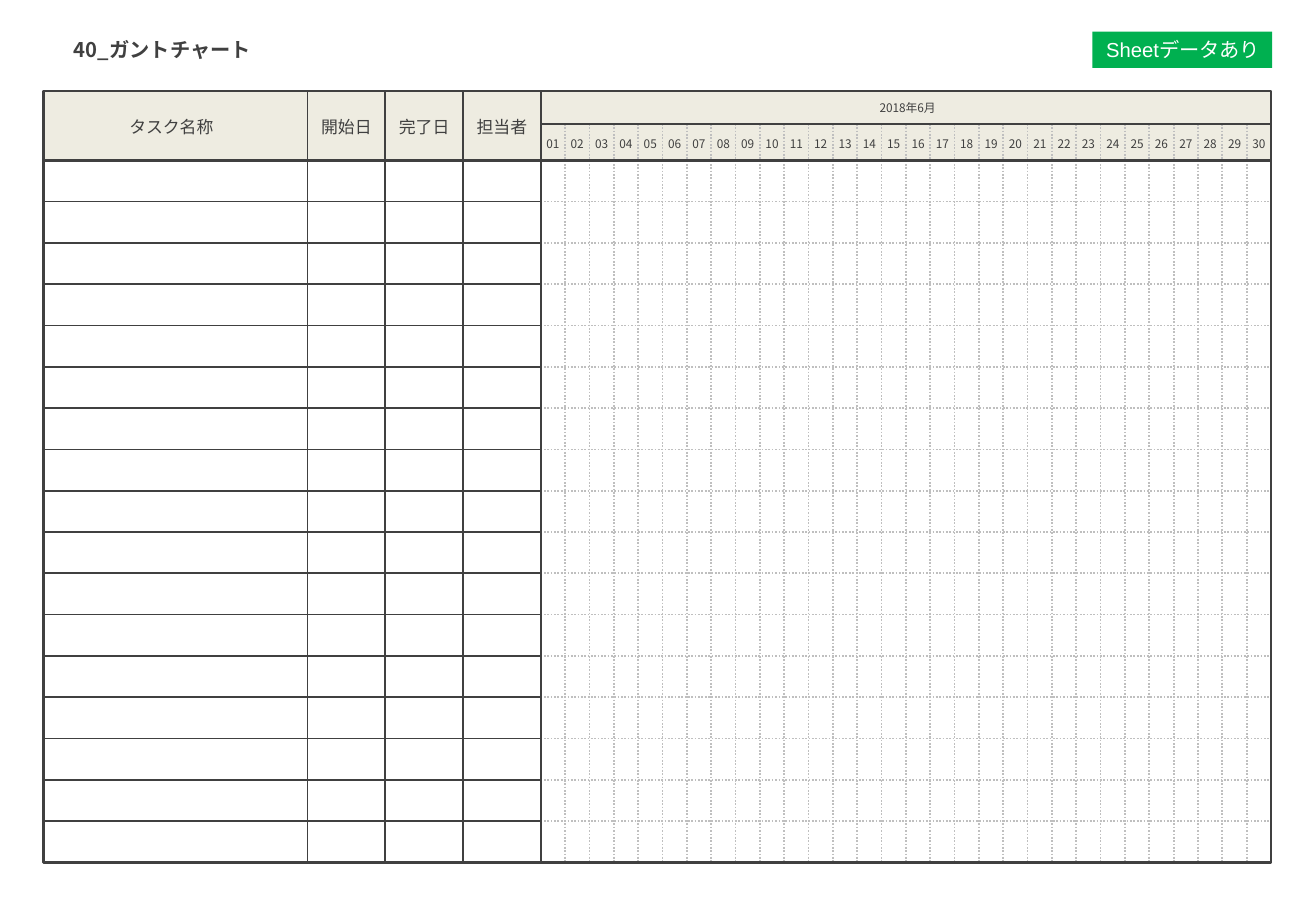
from lxml import etree
from pptx import Presentation
from pptx.dml.color import RGBColor
from pptx.enum.dml import MSO_LINE
from pptx.enum.shapes import MSO_CONNECTOR, MSO_SHAPE
from pptx.enum.text import MSO_ANCHOR, PP_ALIGN
from pptx.oxml.ns import qn
from pptx.util import Inches, Pt

STRAIGHT = MSO_CONNECTOR.STRAIGHT
RECTANGLE = MSO_SHAPE.RECTANGLE
DOTTED = MSO_LINE.ROUND_DOT
TOP, MIDDLE = MSO_ANCHOR.TOP, MSO_ANCHOR.MIDDLE
LEFT, CENTER, RIGHT = PP_ALIGN.LEFT, PP_ALIGN.CENTER, PP_ALIGN.RIGHT

INK = RGBColor(0x40, 0x40, 0x40)
GRID = RGBColor(0xBF, 0xBF, 0xBF)
BEIGE = RGBColor(0xEE, 0xEC, 0xE1)
GREEN = RGBColor(0x00, 0xB0, 0x50)
WHITE = RGBColor(0xFF, 0xFF, 0xFF)
JAPANESE_FONT = "Noto Sans CJK JP"

TITLE = "40_ガントチャート"
BADGE = "Sheetデータあり"
MONTH = "2018年6月"
COLUMNS = [
    ("タスク名称", 0.96, 0.9, 2.53),
    ("開始日", 2.54, 0.62, 3.17),
    ("完了日", 3.18, 0.62, 3.81),
    ("担当者", 3.82, 0.62, 4.45),
]
DAYS = [f"{day:02d}" for day in range(1, 31)]
TASK_ROWS = 17

CHART_LEFT, CHART_RIGHT = 0.36, 10.46
CHART_TOP, CHART_BOTTOM = 0.75, 7.1
DAYS_LEFT, DAYS_TOP = 4.45, 1.02
ROWS_TOP = 1.32
DAY_WIDTH = (CHART_RIGHT - DAYS_LEFT) / len(DAYS)
ROW_HEIGHT = (CHART_BOTTOM - ROWS_TOP) / TASK_ROWS
LABEL_WIDTH, LABEL_HEIGHT = 0.32, 0.21

deck = Presentation()
deck.slide_width, deck.slide_height = Inches(10.83), Inches(7.5)
slide = deck.slides.add_slide(deck.slide_layouts[6])


def add_line(x1, y1, x2, y2, color=INK, width=1, dash=None):
    rule = slide.shapes.add_connector(
        STRAIGHT, Inches(x1), Inches(y1), Inches(x2), Inches(y2))
    rule.line.color.rgb = color
    rule.line.width = Pt(width)
    if dash:
        rule.line.dash_style = dash
    etree.SubElement(rule._element.spPr, qn("a:effectLst"))


def add_box(left, top, width, height, fill=None, outline=None):
    box = slide.shapes.add_shape(
        RECTANGLE, Inches(left), Inches(top), Inches(width), Inches(height))
    box.shadow.inherit = False
    if fill is None:
        box.fill.background()
    else:
        box.fill.solid()
        box.fill.fore_color.rgb = fill
    if outline is None:
        box.line.fill.background()
    else:
        box.line.color.rgb = outline
        box.line.width = Pt(1.5)
    return box


def write(shape, text, size=10, color=INK, font=JAPANESE_FONT, bold=False,
          align=CENTER, anchor=TOP, wrap=False):
    frame = shape.text_frame
    frame.word_wrap = wrap
    frame.vertical_anchor = anchor
    paragraph = frame.paragraphs[0]
    paragraph.alignment = align
    run = paragraph.add_run()
    run.text = text
    run.font.size = Pt(size)
    run.font.bold = bold
    run.font.color.rgb = color
    run.font.name = font
    etree.SubElement(run.font._element, qn("a:ea"), typeface=JAPANESE_FONT)


def add_label(text, left, top, width, height, **text_format):
    label = slide.shapes.add_textbox(
        Inches(left), Inches(top), Inches(width), Inches(height))
    write(label, text, **text_format)


add_box(CHART_LEFT, CHART_TOP, CHART_RIGHT - CHART_LEFT,
        ROWS_TOP - CHART_TOP, fill=BEIGE)

for row in range(1, TASK_ROWS):
    y = ROWS_TOP + row * ROW_HEIGHT
    add_line(DAYS_LEFT, y, CHART_RIGHT, y, color=GRID, dash=DOTTED)
    add_line(CHART_LEFT, y, DAYS_LEFT, y)

for index, day in enumerate(DAYS):
    x = DAYS_LEFT + index * DAY_WIDTH
    if index:
        add_line(x, DAYS_TOP, x, CHART_BOTTOM, color=GRID, dash=DOTTED)
    add_label(day, x + (DAY_WIDTH - LABEL_WIDTH) / 2, 1.08,
              LABEL_WIDTH, LABEL_HEIGHT, size=7, anchor=MIDDLE)

for heading, left, width, column_edge in COLUMNS:
    add_label(heading, left, 0.91, width, 0.26)
    add_line(column_edge, CHART_TOP, column_edge, CHART_BOTTOM)

add_label(MONTH, 7.12, 0.78, 0.7, LABEL_HEIGHT, size=7, anchor=MIDDLE, wrap=True)
add_line(DAYS_LEFT, DAYS_TOP, CHART_RIGHT, DAYS_TOP)
add_label(TITLE, 0.51, 0.26, 1.72, 0.3, size=12, bold=True, align=LEFT)
add_box(CHART_LEFT, CHART_TOP, CHART_RIGHT - CHART_LEFT,
        CHART_BOTTOM - CHART_TOP, outline=INK)
write(add_box(8.99, 0.26, 1.48, 0.3, fill=GREEN), BADGE,
      size=12, color=WHITE, font="Arial", align=RIGHT, anchor=MIDDLE)
add_line(CHART_LEFT, ROWS_TOP, CHART_RIGHT, ROWS_TOP, width=1.5)

deck.save("out.pptx")
